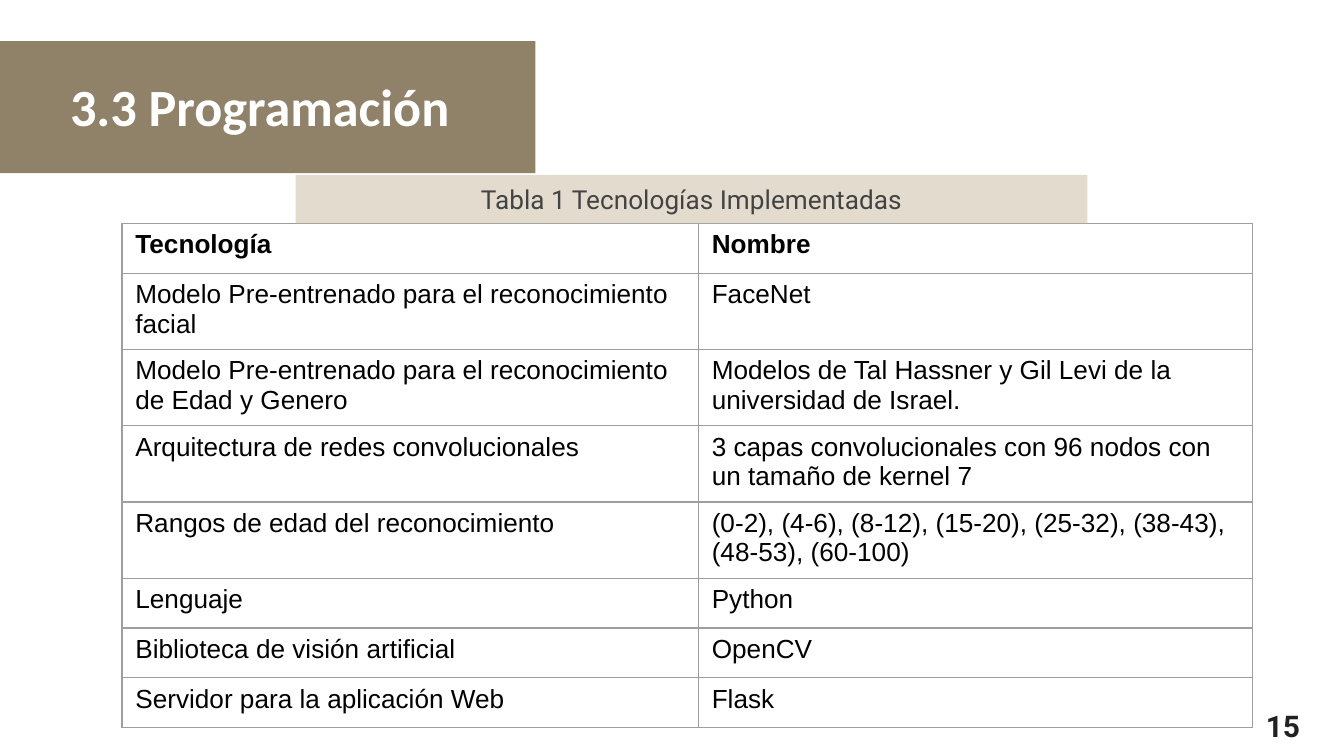
"""Build the slide on the technologies used in the project."""
from collections import namedtuple

from lxml import etree
from pptx import Presentation, util as u
from pptx.dml.color import RGBColor
from pptx.enum import shapes, text
from pptx.oxml.ns import qn

Box = namedtuple("Box", "left top width height")
COLORS = {
    "banner": "908269",
    "caption": "CFC3AC",
    "caption_text": "434343",
    "border": "9E9E9E",
    "title": "FFFFFF",
    "body": "000000",
    "number": "212121",
}
TECHNOLOGIES = [
    ("Tecnología", "Nombre"),
    ("Modelo Pre-entrenado para el reconocimiento facial", "FaceNet"),
    ("Modelo Pre-entrenado para el reconocimiento de Edad y Genero",
     "Modelos de Tal Hassner y Gil Levi de la universidad de Israel."),
    ("Arquitectura de redes convolucionales",
     "3 capas convolucionales con 96 nodos con un tamaño de kernel 7"),
    ("Rangos de edad del reconocimiento",
     "(0-2), (4-6), (8-12), (15-20), (25-32), (38-43), (48-53), (60-100)"),
    ("Lenguaje", "Python"),
    ("Biblioteca de visión artificial", "OpenCV"),
    ("Servidor para la aplicación Web", "Flask"),
]
COLUMN_SHARES = (0.51, 0.49)
ROW_WEIGHTS = (37, 54, 54, 54, 54, 37, 37, 37)


def part(box, left, top, width, height):
    """Return the part of a box given in percent of its size."""
    return Box(int(box.left + box.width * left / 100),
               int(box.top + box.height * top / 100),
               int(box.width * width / 100),
               int(box.height * height / 100))


def write(frame, wording, font="Arial", size=14, color="body", bold=False,
          align=None, anchor=None, inset=None):
    """Write one formatted paragraph into a text frame."""
    frame.word_wrap = True
    if anchor is not None:
        frame.vertical_anchor = anchor
    if inset is not None:
        frame.margin_left = frame.margin_right = u.Inches(inset)
        frame.margin_top = frame.margin_bottom = u.Inches(inset)
    paragraph = frame.paragraphs[0]
    paragraph.alignment = align
    run = paragraph.add_run()
    run.text = wording
    run.font.name = font
    run.font.size = u.Pt(size)
    run.font.bold = bold
    run.font.color.rgb = RGBColor.from_string(COLORS[color])


def add_panel(slide, box, color, opacity=100):
    """Add a flat rectangle without outline."""
    shape = slide.shapes.add_shape(shapes.MSO_SHAPE.RECTANGLE, *box)
    shape.shadow.inherit = False
    shape.fill.solid()
    shape.fill.fore_color.rgb = RGBColor.from_string(COLORS[color])
    shape.line.fill.background()
    if opacity < 100:
        fill_color = shape._element.spPr.find(qn("a:solidFill"))[0]
        etree.SubElement(fill_color, qn("a:alpha"), val=str(opacity * 1000))
    return shape


def add_header(slide, box):
    """Add the banner with the slide title over it."""
    add_panel(slide, part(box, 0, 15.2, 100, 84.8), "banner")
    title = slide.shapes.add_textbox(*part(box, 0, 0, 97, 85.2))
    write(title.text_frame, "3.3 Programación", font="Calibri", size=28,
          color="title", bold=True, align=text.PP_ALIGN.CENTER,
          anchor=text.MSO_ANCHOR.BOTTOM, inset=0.1)


def add_page_number(slide, box):
    """Add the page number."""
    number = slide.shapes.add_textbox(*box)
    write(number.text_frame, "15", font="Roboto", size=16, color="number",
          bold=True, align=text.PP_ALIGN.JUSTIFY, inset=0.1)


def add_borders(cell):
    """Draw a thin line on the four sides of a cell."""
    properties = cell._tc.get_or_add_tcPr()
    for position, side in enumerate(("lnL", "lnR", "lnT", "lnB")):
        line = etree.Element(qn(f"a:{side}"), w=str(u.Pt(0.75)))
        fill = etree.SubElement(line, qn("a:solidFill"))
        etree.SubElement(fill, qn("a:srgbClr"), val=COLORS["border"])
        properties.insert(position, line)


def add_technology_table(slide, box):
    """Add the table of technologies and their names."""
    table = slide.shapes.add_table(
        len(TECHNOLOGIES), len(COLUMN_SHARES), *box).table
    table.first_row = table.horz_banding = False
    for column, share in zip(table.columns, COLUMN_SHARES):
        column.width = int(box.width * share)
    for row, weight in zip(table.rows, ROW_WEIGHTS):
        row.height = int(box.height * weight / sum(ROW_WEIGHTS))
    for row_index, wordings in enumerate(TECHNOLOGIES):
        for column_index, wording in enumerate(wordings):
            cell = table.cell(row_index, column_index)
            cell.fill.background()
            add_borders(cell)
            write(cell.text_frame, wording, bold=row_index == 0)


def add_caption(slide, box):
    """Add the translucent caption above the table."""
    caption = add_panel(slide, box, "caption", opacity=58)
    write(caption.text_frame, "Tabla 1 Tecnologías Implementadas",
          font="Roboto", color="caption_text", align=text.PP_ALIGN.CENTER,
          anchor=text.MSO_ANCHOR.MIDDLE, inset=0.1)


def main():
    """Build and save the presentation."""
    presentation = Presentation()
    presentation.slide_width = u.Inches(10)
    presentation.slide_height = presentation.slide_width * 9 // 16
    slide = presentation.slides.add_slide(presentation.slide_layouts[6])
    page = Box(0, 0, presentation.slide_width, presentation.slide_height)
    add_header(slide, part(page, 0, 2.3, 39.85, 20.6))
    add_page_number(slide, part(page, 93.2, 91.8, 6.8, 5.5))
    add_technology_table(slide, part(page, 9.07, 29.55, 84.1, 64.8))
    add_caption(slide, part(page, 22, 23.15, 58.9, 6.4))
    presentation.save("out.pptx")


if __name__ == "__main__":
    main()
